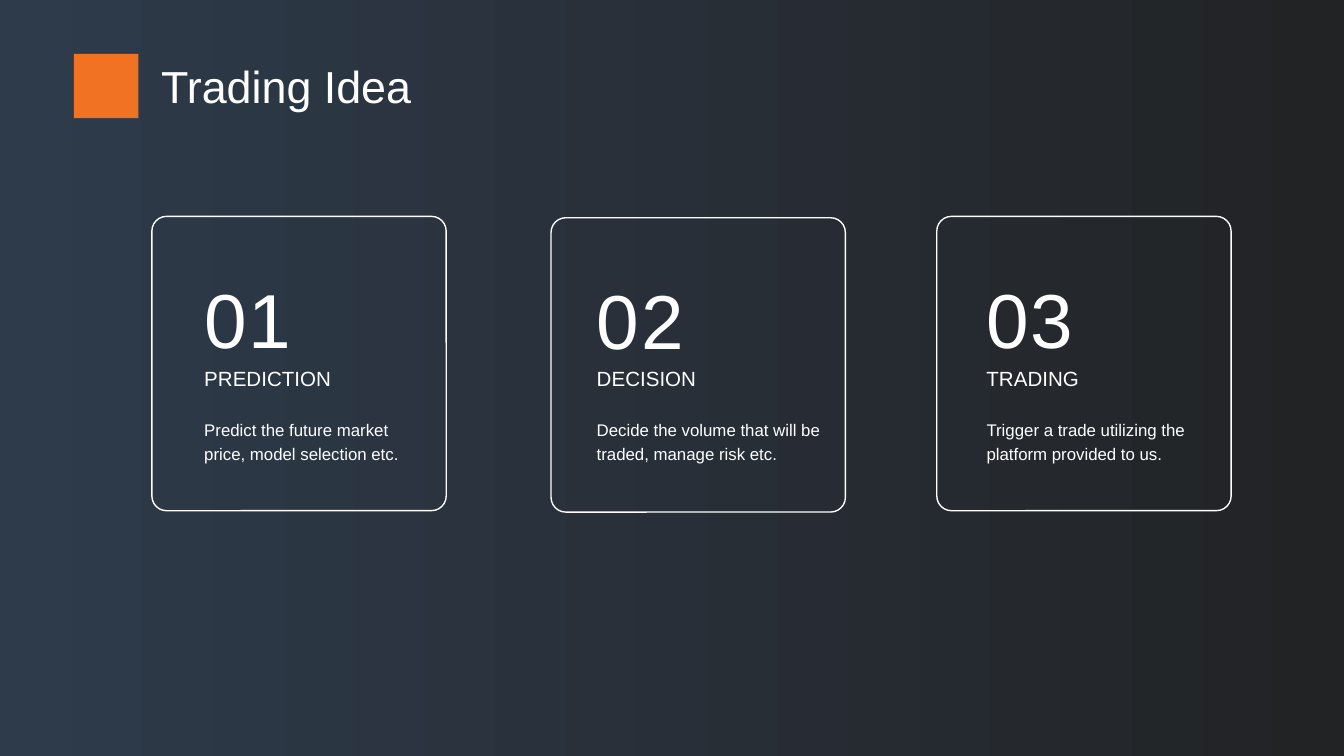
from pptx import Presentation
from pptx.dml.color import RGBColor as Rgb
from pptx.enum.shapes import MSO_SHAPE as Shape
from pptx.enum.text import MSO_ANCHOR as Anchor, MSO_AUTO_SIZE as AutoSize
from pptx.util import Inches, Pt

COLORS = {"white": "FFFFFF", "accent": "F27224", "dark": "222325", "slate": "2E3B4B"}
PAGE_WIDTH = 10
PAGE_HEIGHT = PAGE_WIDTH * 9 / 16
CARD_SIZE = 2.19
CARDS = [
    (1.13, 1.61, 1.52, 1.63, "01", "PREDICTION",
     "Predict the future market price, model selection etc."),
    (4.10, 1.62, 4.44, 1.70, "02", "DECISION",
     "Decide the volume that will be traded, manage risk etc."),
    (6.97, 1.61, 7.34, 1.65, "03", "TRADING",
     "Trigger a trade utilizing the platform provided to us."),
]


class Painter:
    """Holds the style and the current page, and draws each kind of element."""

    def __init__(self, page, font="Arial"):
        self.page = page
        self.font = font

    def color(self, name):
        return Rgb.from_string(COLORS[name])

    def background(self, start, end, angle):
        fill = self.page.background.fill
        fill.gradient()
        fill.gradient_angle = angle
        for stop, name in zip(fill.gradient_stops, (start, end)):
            stop.color.rgb = self.color(name)

    def square(self, left, top, size, fill):
        box = self.page.shapes.add_shape(
            Shape.RECTANGLE, *map(Inches, (left, top, size, size)))
        box.shadow.inherit = False
        box.fill.solid()
        box.fill.fore_color.rgb = self.color(fill)
        box.line.fill.background()

    def frame(self, left, top, size):
        box = self.page.shapes.add_shape(
            Shape.ROUNDED_RECTANGLE, *map(Inches, (left, top, size, size)))
        box.adjustments[0] = 0.05
        box.shadow.inherit = False
        box.fill.background()
        box.line.color.rgb = self.color("white")
        box.line.width = Pt(0.75)

    def text(self, words, left, top, width, height, size,
             insets=(0, 0), wrap=True, grow=False, spacing=None):
        box = self.page.shapes.add_textbox(*map(Inches, (left, top, width, height)))
        side, edge = map(Inches, insets)
        frame_format = {
            "margin_left": side, "margin_right": side,
            "margin_top": edge, "margin_bottom": edge,
            "word_wrap": wrap, "vertical_anchor": Anchor.TOP,
            "auto_size": AutoSize.SHAPE_TO_FIT_TEXT if grow else AutoSize.NONE,
        }
        for name, value in frame_format.items():
            setattr(box.text_frame, name, value)
        para = box.text_frame.paragraphs[0]
        para.line_spacing = spacing
        span = para.add_run()
        span.text = words
        for name, value in {"name": self.font, "size": Pt(size)}.items():
            setattr(span.font, name, value)
        span.font.color.rgb = self.color("white")

    def card(self, left, top, text_left, text_width, number, heading, body):
        self.frame(left, top, CARD_SIZE)
        for index, digit in enumerate(number):
            self.text(digit, text_left + index * 0.33, top + 0.41, 0.29, 0.68, 41,
                      wrap=False)
        self.text(heading, text_left, 2.72, 1.27, 0.2, 11)
        self.text(body, text_left, 3.09, text_width, 0.36, 9, grow=True, spacing=1.2)


def main():
    deck = Presentation()
    deck.slide_width, deck.slide_height = Inches(PAGE_WIDTH), Inches(PAGE_HEIGHT)
    painter = Painter(deck.slides.add_slide(deck.slide_layouts[6]))
    painter.background("dark", "slate", 180)
    painter.square(0.55, 0.4, 0.48, "accent")
    painter.text("Trading Idea", 1.13, 0.4, 2.07, 0.48, 24,
                 insets=(0.07, 0.04), grow=True)
    for card in CARDS:
        painter.card(*card)
    deck.save("out.pptx")


if __name__ == "__main__":
    main()
